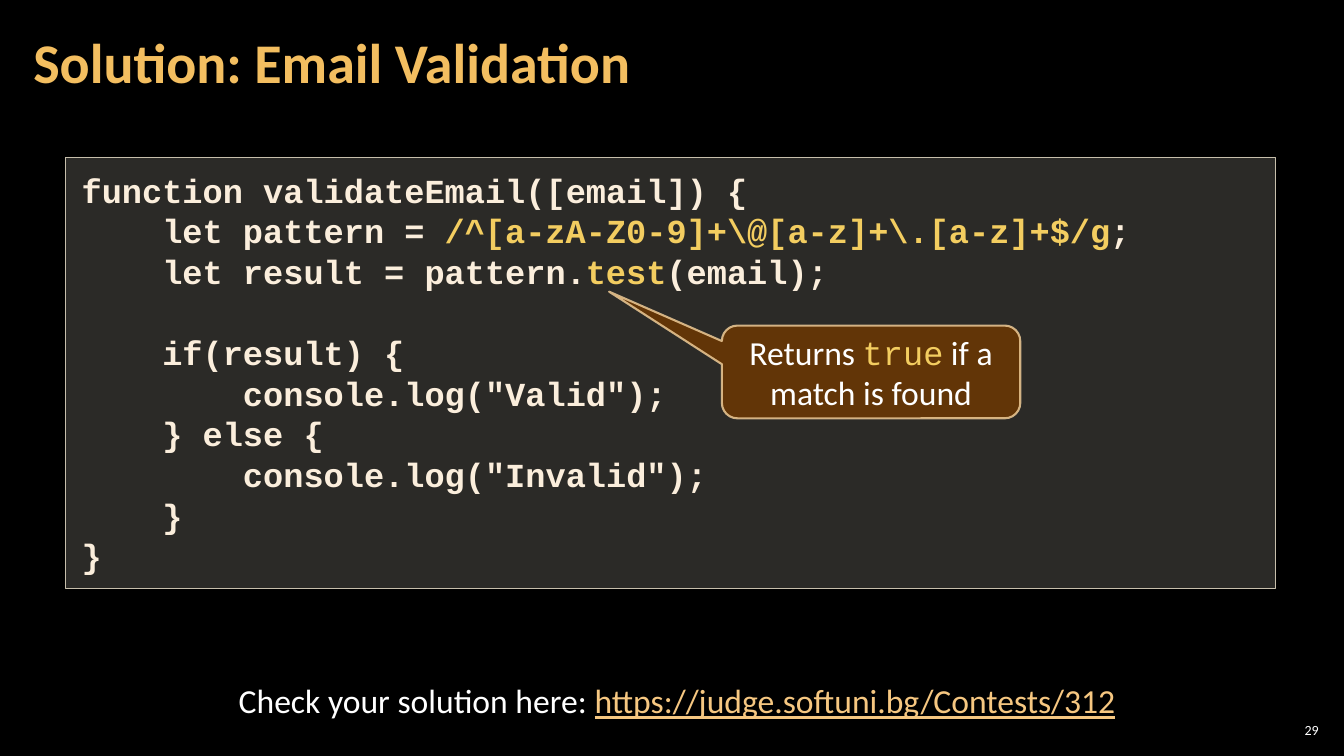
"""Build the Email Validation solution slide."""
from lxml.etree import SubElement
from pptx import Presentation
from pptx.dml.color import RGBColor
from pptx.enum.shapes import MSO_SHAPE
from pptx.enum.text import MSO_ANCHOR, MSO_AUTO_SIZE, PP_ALIGN
from pptx.oxml.ns import qn
from pptx.util import Inches, Pt

BLACK = RGBColor(0x00, 0x00, 0x00)
WHITE = RGBColor(0xFF, 0xFF, 0xFF)
TITLE_GOLD = RGBColor(0xF3, 0xBE, 0x60)
CODE_CREAM = RGBColor(0xFB, 0xEE, 0xDC)
CODE_YELLOW = RGBColor(0xF3, 0xCD, 0x60)
LINK_ORANGE = RGBColor(0xF6, 0xC7, 0x81)
PANEL_FILL = RGBColor(0xD9, 0xD5, 0xC7)
PANEL_LINE = RGBColor(0xC7, 0xBF, 0xAC)
CALLOUT_FILL = RGBColor(0x66, 0x36, 0x06)
CALLOUT_LINE = RGBColor(0xF8, 0xD4, 0x9E)
BODY_FONT = "Calibri"
CODE_FONT = "Courier New"
CODE_LEADING = Pt(29)


def add_run(paragraph, text, color, font=BODY_FONT, size=24, bold=False):
    run = paragraph.add_run()
    run.text = text
    run.font.name = font
    run.font.size = Pt(size)
    run.font.bold = bold
    run.font.color.rgb = color
    return run


def style_shape(shape, fill, fill_opacity, line, line_opacity, line_width):
    shape.shadow.inherit = False
    shape.fill.solid()
    shape.fill.fore_color.rgb = fill
    shape.line.color.rgb = line
    shape.line.width = Pt(line_width)
    properties = shape.fill._xPr
    outline = properties.find(qn("a:ln"))
    for parent, opacity in ((properties, fill_opacity), (outline, line_opacity)):
        color = parent.find(qn("a:solidFill")).find(qn("a:srgbClr"))
        SubElement(color, qn("a:alpha")).set("val", str(opacity * 1000))


presentation = Presentation()
presentation.slide_width = Inches(13.33)
presentation.slide_height = Inches(7.5)
slide = presentation.slides.add_slide(presentation.slide_layouts[5])
slide.background.fill.solid()
slide.background.fill.fore_color.rgb = BLACK

title = slide.shapes.title
title.left, title.top = Inches(0.21), Inches(0.04)
title.width, title.height = Inches(10.47), Inches(1.21)
title_frame = title.text_frame
title_frame.auto_size = MSO_AUTO_SIZE.NONE
title_frame.vertical_anchor = MSO_ANCHOR.MIDDLE
title_frame.margin_left = title_frame.margin_right = Inches(0.12)
title_frame.margin_top = title_frame.margin_bottom = Inches(0.04)
paragraph = title_frame.paragraphs[0]
paragraph.alignment = PP_ALIGN.LEFT
paragraph.line_spacing = 0.9
add_run(paragraph, "Solution: Email Validation", TITLE_GOLD, size=40, bold=True)

code_panel = slide.shapes.add_shape(
    MSO_SHAPE.RECTANGLE, Inches(0.65), Inches(1.56), Inches(12), Inches(4.28))
style_shape(code_panel, PANEL_FILL, 20, PANEL_LINE, 100, 1)
code_frame = code_panel.text_frame
code_frame.word_wrap = True
code_frame.vertical_anchor = MSO_ANCHOR.TOP
code_frame.margin_left = code_frame.margin_right = Inches(0.16)
code_frame.margin_top = code_frame.margin_bottom = Inches(0.12)

code_lines = [
    ["function validateEmail([email]) {"],
    ["    let pattern = ", r"/^[a-zA-Z0-9]+\@[a-z]+\.[a-z]+$/g", ";"],
    ["    let result = pattern.", "test", "(email);"],
    ["    if(result) {"],
    ['        console.log("Valid");'],
    ["    } else {"],
    ['        console.log("Invalid");'],
    ["    }"],
    ["}"],
]
for index, pieces in enumerate(code_lines):
    paragraph = code_frame.add_paragraph() if index else code_frame.paragraphs[0]
    paragraph.alignment = PP_ALIGN.LEFT
    paragraph.line_spacing = CODE_LEADING
    if pieces[0].strip().startswith("if"):
        paragraph.space_before = CODE_LEADING
    for position, piece in enumerate(pieces):
        color = CODE_YELLOW if position == 1 else CODE_CREAM
        add_run(paragraph, piece, color, CODE_FONT, bold=True)

judge_box = slide.shapes.add_textbox(
    Inches(0.94), Inches(6.7), Inches(11.55), Inches(0.5))
judge_box.text_frame.word_wrap = True
paragraph = judge_box.text_frame.paragraphs[0]
paragraph.alignment = PP_ALIGN.CENTER
add_run(paragraph, "Check your solution here: ", WHITE)
address = add_run(paragraph, "https://judge.softuni.bg/Contests/312", LINK_ORANGE)
address.font.underline = True

callout = slide.shapes.add_shape(
    MSO_SHAPE.ROUNDED_RECTANGULAR_CALLOUT,
    Inches(7.16), Inches(3.23), Inches(2.96), Inches(0.92))
for index, value in enumerate((-0.878, -0.866, 0.167)):
    callout.adjustments[index] = value
style_shape(callout, CALLOUT_FILL, 95, CALLOUT_LINE, 80, 1.5)
callout.text_frame.word_wrap = True
callout.text_frame.vertical_anchor = MSO_ANCHOR.MIDDLE
paragraph = callout.text_frame.paragraphs[0]
paragraph.alignment = PP_ALIGN.CENTER
add_run(paragraph, "Returns ", WHITE)
add_run(paragraph, "true", CODE_YELLOW, CODE_FONT)
add_run(paragraph, " if a match is found", WHITE)

number_box = slide.shapes.add_textbox(
    Inches(12.65), Inches(7.14), Inches(0.47), Inches(0.21))
number_frame = number_box.text_frame
number_frame.word_wrap = True
number_frame.vertical_anchor = MSO_ANCHOR.MIDDLE
number_frame.margin_left = number_frame.margin_right = Inches(0.04)
number_frame.margin_top = number_frame.margin_bottom = Inches(0.04)
paragraph = number_frame.paragraphs[0]
paragraph.alignment = PP_ALIGN.RIGHT
add_run(paragraph, "29", WHITE, size=10)

presentation.save("out.pptx")
